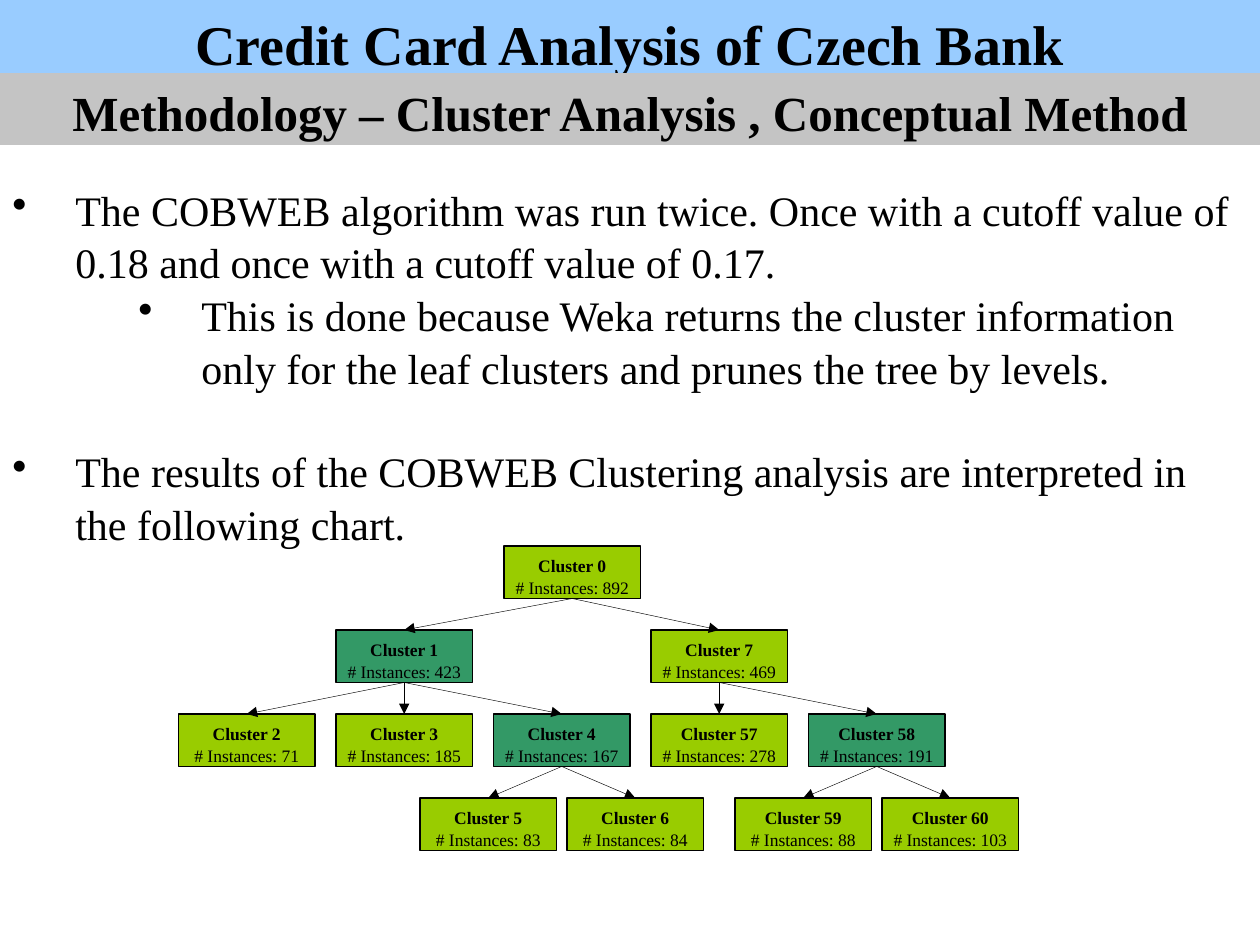
"""Build the slide on the conceptual clustering method and its cluster tree."""
from typing import NamedTuple, Optional

from lxml import etree
from pptx import Presentation
from pptx import util as u
from pptx.dml.color import RGBColor
from pptx.enum import shapes, text
from pptx.oxml.ns import qn

FONT = "Times New Roman"
BLACK, SKY, GREY = "000000", "99CCFF", "C4C4C4"
LIME, GREEN = "99CC00", "339966"
CELL = u.Inches(1) / 12
NODE_COLUMNS, NODE_ROWS = 13, 5
TREE_TOP, LEVEL_STEP = 52, 8


class Cluster(NamedTuple):
    number: int
    instances: int
    column: int
    level: int
    parent: Optional[int]
    fill: str = LIME


class Point(NamedTuple):
    wording: str
    level: int
    margin: float
    gap: float = 0


CLUSTERS = [
    Cluster(0, 892, 48, 0, None),
    Cluster(1, 423, 32, 1, 0, GREEN),
    Cluster(7, 469, 62, 1, 0),
    Cluster(2, 71, 17, 2, 1),
    Cluster(3, 185, 32, 2, 1),
    Cluster(4, 167, 47, 2, 1, GREEN),
    Cluster(57, 278, 62, 2, 7),
    Cluster(58, 191, 77, 2, 7, GREEN),
    Cluster(5, 83, 40, 3, 4),
    Cluster(6, 84, 54, 3, 4),
    Cluster(59, 88, 70, 3, 58),
    Cluster(60, 103, 84, 3, 58),
]

POINTS = [
    Point("The COBWEB algorithm was run twice. Once with a cutoff value of "
          "0.18 and once with a cutoff value of 0.17.", 0, 0.5),
    Point("This is done because Weka returns the cluster information only for "
          "the leaf clusters and prunes the tree by levels.", 2, 1.5),
    Point("The results of the COBWEB Clustering analysis are interpreted in "
          "the following chart.", 0, 0.5, 28.8),
]


def colour(value: str) -> RGBColor:
    return RGBColor.from_string(value)


def paint(shape, fill: str) -> None:
    shape.fill.solid()
    shape.fill.fore_color.rgb = colour(fill)


def style_runs(paragraph, size: float, bold: bool = False) -> None:
    for run in paragraph.runs:
        run.font.name, run.font.size, run.font.bold = FONT, u.Pt(size), bold
        run.font.color.rgb = colour(BLACK)


def set_frame(frame, anchor, side: float = 0.1, top: float = 0.05, bottom: float = 0.05) -> None:
    frame.word_wrap = True
    frame.auto_size = text.MSO_AUTO_SIZE.NONE
    frame.vertical_anchor = anchor
    frame.margin_left = frame.margin_right = u.Inches(side)
    frame.margin_top, frame.margin_bottom = u.Inches(top), u.Inches(bottom)


def fill_band(band, wording: str, fill: str, size: float) -> None:
    paint(band, fill)
    set_frame(band.text_frame, text.MSO_ANCHOR.TOP)
    band.text_frame.text = wording
    line = band.text_frame.paragraphs[0]
    line.alignment = text.PP_ALIGN.CENTER
    line.line_spacing = 1.05
    style_runs(line, size, True)


def add_points(slide, points: list[Point]) -> None:
    box = slide.shapes.add_textbox(0, u.Inches(1.45), u.Inches(10), u.Inches(2.9))
    frame = box.text_frame
    set_frame(frame, text.MSO_ANCHOR.MIDDLE)
    for index, point in enumerate(points):
        line = frame.add_paragraph() if index else frame.paragraphs[0]
        line.text, line.level = point.wording, point.level
        line.line_spacing = 1.05
        if point.gap:
            line.space_before = u.Pt(point.gap)
        properties = line._p.get_or_add_pPr()
        properties.set("marL", str(u.Inches(point.margin)))
        properties.set("indent", str(u.Inches(-0.5)))
        etree.SubElement(properties, qn("a:buChar")).set("char", "•")
        style_runs(line, 24)


def add_cluster(slide, cluster: Cluster):
    row = TREE_TOP + cluster.level * LEVEL_STEP
    node = slide.shapes.add_shape(
        shapes.MSO_SHAPE.FLOWCHART_PROCESS, round(cluster.column * CELL), round(row * CELL),
        round(NODE_COLUMNS * CELL), round(NODE_ROWS * CELL))
    node.shadow.inherit = False
    paint(node, cluster.fill)
    node.line.color.rgb = colour(BLACK)
    node.line.width = u.Pt(0.75)
    set_frame(node.text_frame, text.MSO_ANCHOR.TOP, 0, 0.06, 0)
    node.text_frame.text = f"Cluster {cluster.number}\v# Instances: {cluster.instances}"
    label = node.text_frame.paragraphs[0]
    label.alignment = text.PP_ALIGN.CENTER
    label.line_spacing = 1.05
    style_runs(label, 10)
    label.runs[0].font.bold = True
    return node


def add_branch(slide, parent, child) -> None:
    branch = slide.shapes.add_connector(shapes.MSO_CONNECTOR.STRAIGHT, 0, 0, 0, 0)
    branch.begin_connect(parent, 2)
    branch.end_connect(child, 0)
    branch.line.color.rgb = colour(BLACK)
    branch.line.width = u.Pt(0.25)
    etree.SubElement(branch.line._get_or_add_ln(), qn("a:tailEnd")).set("type", "triangle")
    etree.SubElement(branch._element.spPr, qn("a:effectLst"))


def main() -> None:
    deck = Presentation()
    deck.slide_width, deck.slide_height = u.Inches(10), u.Inches(7.5)
    slide = deck.slides.add_slide(deck.slide_layouts[5])

    title = slide.shapes.title
    title.left, title.top, title.width, title.height = 0, 0, deck.slide_width, u.Inches(0.64)
    fill_band(title, "Credit Card Analysis of Czech Bank", SKY, 32)

    subtitle = slide.shapes.add_shape(
        shapes.MSO_SHAPE.RECTANGLE, 0, u.Inches(0.58), deck.slide_width, u.Inches(0.57))
    subtitle.shadow.inherit = False
    subtitle.line.fill.background()
    fill_band(subtitle, "Methodology – Cluster Analysis , Conceptual Method", GREY, 28)

    add_points(slide, POINTS)
    nodes = {cluster.number: add_cluster(slide, cluster) for cluster in CLUSTERS}
    for cluster in CLUSTERS:
        if cluster.parent is not None:
            add_branch(slide, nodes[cluster.parent], nodes[cluster.number])
    deck.save("out.pptx")


if __name__ == "__main__":
    main()
